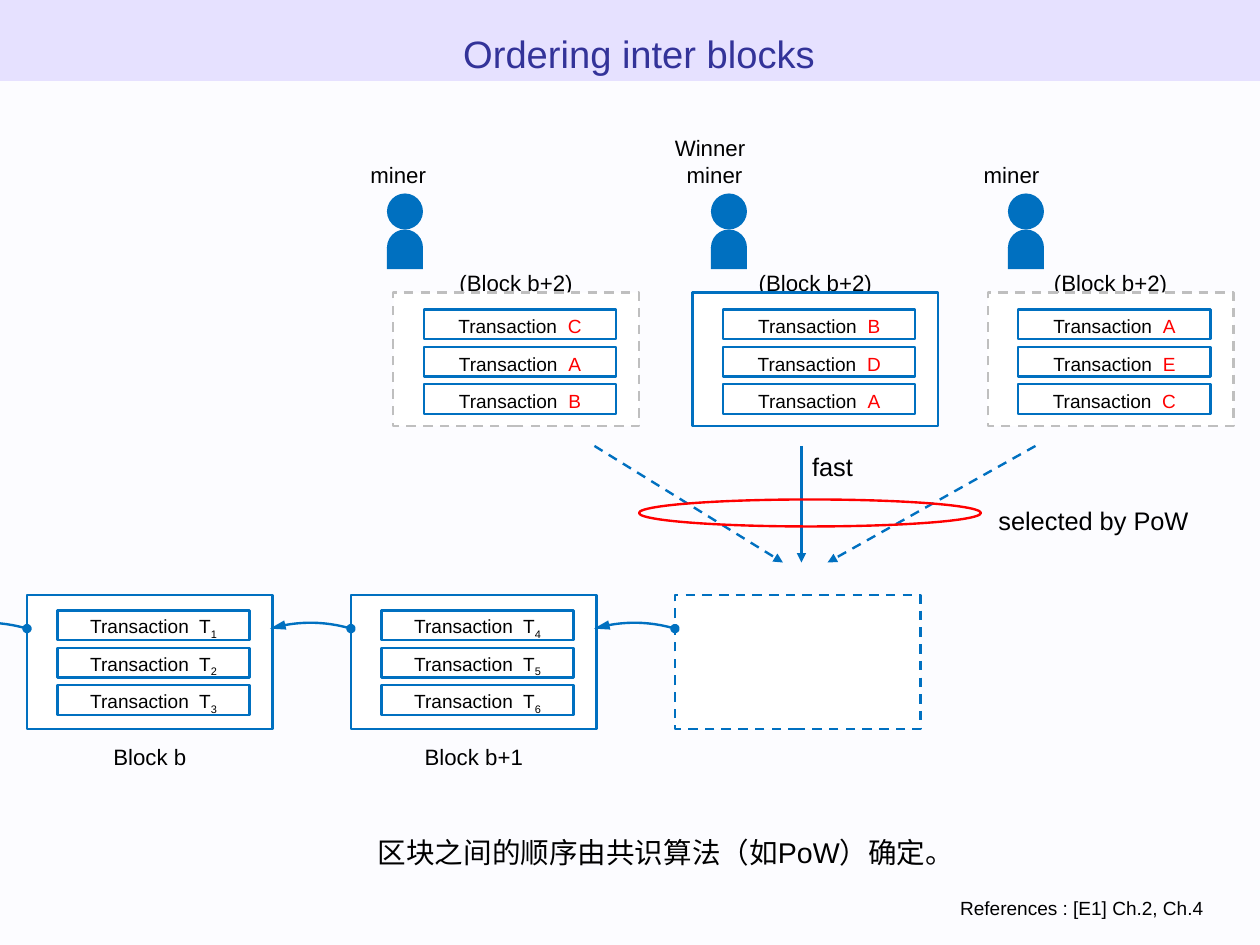
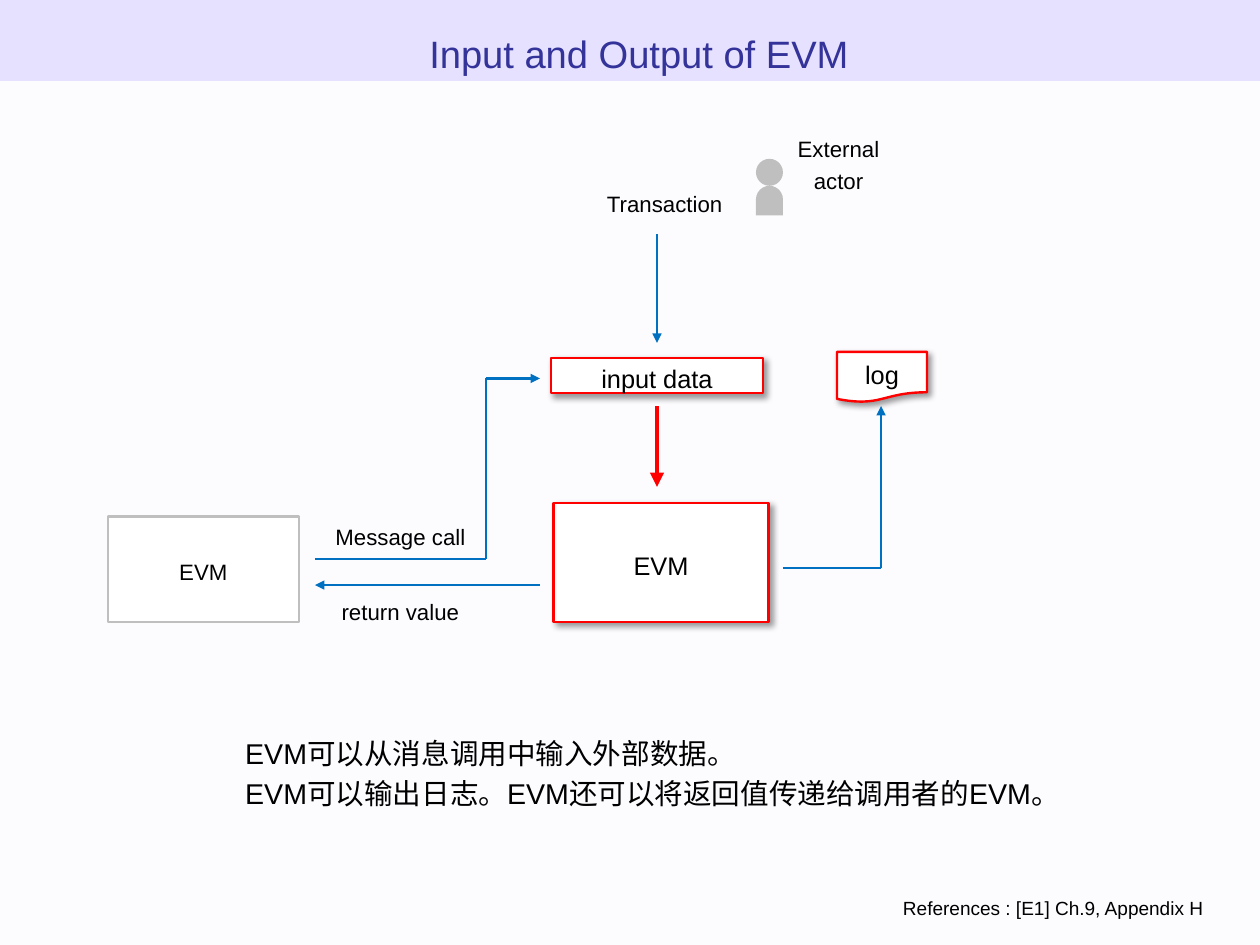
"""Build two slides on block ordering and on the input and output of the EVM."""
from dataclasses import dataclass
from itertools import pairwise
from typing import Optional

import lxml.etree
import pptx
import pptx.dml.color
import pptx.enum.dml
import pptx.enum.shapes
import pptx.enum.text
import pptx.oxml.ns
import pptx.slide
import pptx.util

Cm = pptx.util.Cm
Pt = pptx.util.Pt
qn = pptx.oxml.ns.qn
SHAPE = pptx.enum.shapes.MSO_SHAPE
ALIGN = pptx.enum.text.PP_ALIGN
ANCHOR = pptx.enum.text.MSO_ANCHOR

BLUE, RED, GREY = "0070C0", "FF0000", "BFBFBF"
BLACK, WHITE, NAVY = "000000", "FFFFFF", "333399"
PAPER, LAVENDER = "FCFCFF", "E6E1FF"
FONT = "Arial"
WIDTH, HEIGHT = 28, 21
BLOCK_WIDTH, BLOCK_HEIGHT = 5.46, 2.97
CHAIN_TOP, CHAIN_LEFT, CHAIN_STEP = 13.23, 0.6, 7.2
CANDIDATE_TOP = 6.5


@dataclass(frozen=True)
class Box:
    left: float
    top: float
    width: float
    height: float

    def lengths(self) -> tuple:
        return Cm(self.left), Cm(self.top), Cm(self.width), Cm(self.height)


@dataclass(frozen=True)
class Words:
    text: str
    colour: str = BLACK
    subscript: bool = False


@dataclass(frozen=True)
class Stroke:
    colour: str = BLUE
    width: float = 1.5
    dashed: bool = False


@dataclass(frozen=True)
class Block:
    left: float
    top: float
    label: str
    label_rise: float
    first_row: float
    rows: tuple
    stroke: Stroke = Stroke()


@dataclass(frozen=True)
class Label:
    text: str
    box: Box
    size: int = 14


@dataclass(frozen=True)
class Route:
    points: tuple
    stroke: Stroke = Stroke()


def colour_of(code: str) -> pptx.dml.color.RGBColor:
    return pptx.dml.color.RGBColor.from_string(code)


def write(shape, paragraphs: list, size: int = 14, align=ALIGN.CENTER,
          anchor=ANCHOR.MIDDLE, spacing: float = 1.17) -> None:
    frame = shape.text_frame
    frame.word_wrap = True
    frame.auto_size = pptx.enum.text.MSO_AUTO_SIZE.NONE
    frame.vertical_anchor = anchor
    frame.margin_left = frame.margin_right = Cm(0.25)
    frame.margin_top = frame.margin_bottom = Cm(0.13)
    for index, pieces in enumerate(paragraphs):
        paragraph = frame.add_paragraph() if index else frame.paragraphs[0]
        paragraph.alignment = align
        paragraph.line_spacing = spacing
        for words in pieces:
            run = paragraph.add_run()
            run.text = words.text
            run.font.name = FONT
            run.font.size = Pt(size)
            run.font.color.rgb = colour_of(words.colour)
            if words.subscript:
                list(shape.element.iter(qn("a:rPr")))[-1].set("baseline", "-25000")


def add_text(slide: pptx.slide.Slide, box: Box, lines: list, **style) -> None:
    shape = slide.shapes.add_textbox(*box.lengths())
    write(shape, [[Words(line)] for line in lines], **style)


def add_labels(slide: pptx.slide.Slide, labels: list) -> None:
    for label in labels:
        add_text(slide, label.box, [label.text], size=label.size)


def apply_stroke(shape, stroke: Stroke) -> None:
    shape.line.color.rgb = colour_of(stroke.colour)
    shape.line.width = Pt(stroke.width)
    if stroke.dashed:
        shape.line.dash_style = pptx.enum.dml.MSO_LINE.DASH


def add_figure(shapes, kind, box: Box, fill: Optional[str] = WHITE,
               stroke: Optional[Stroke] = None):
    shape = shapes.add_shape(kind, *box.lengths())
    shape.shadow.inherit = False
    if fill:
        shape.fill.solid()
        shape.fill.fore_color.rgb = colour_of(fill)
    else:
        shape.fill.background()
    if stroke:
        apply_stroke(shape, stroke)
    else:
        shape.line.fill.background()
    return shape


def add_shadow(shape) -> None:
    effects = shape.element.find(".//" + qn("a:effectLst"))
    shadow = lxml.etree.SubElement(
        effects, qn("a:outerShdw"), blurRad=str(Pt(4)), dist=str(Pt(3)),
        dir="2700000", algn="tl", rotWithShape="0")
    black = lxml.etree.SubElement(shadow, qn("a:srgbClr"), val=BLACK)
    lxml.etree.SubElement(black, qn("a:alpha"), val="40000")


def add_line_end(shape, end: str, kind: str, length: str = "med") -> None:
    line = shape.element.find(".//" + qn("a:ln"))
    lxml.etree.SubElement(line, qn("a:" + end), type=kind, w="med", len=length)


def add_route(slide: pptx.slide.Slide, route: Route) -> None:
    for start, finish in pairwise(route.points):
        connector = slide.shapes.add_connector(
            pptx.enum.shapes.MSO_CONNECTOR.STRAIGHT,
            Cm(start[0]), Cm(start[1]), Cm(finish[0]), Cm(finish[1]))
        apply_stroke(connector, route.stroke)
        if finish == route.points[-1]:
            add_line_end(connector, "tailEnd", "triangle")
        lxml.etree.SubElement(connector.element.spPr, qn("a:effectLst"))


def add_chain_link(slide: pptx.slide.Slide, block_left: float) -> None:
    span, rise, steps, level = 1.8, 0.13, 24, CHAIN_TOP + 0.74
    points = [(Cm(block_left - span + span * step / steps),
               Cm(level - 4 * rise * step * (steps - step) / steps ** 2))
              for step in range(steps + 1)]
    builder = slide.shapes.build_freeform(*points[0])
    builder.add_line_segments(points[1:], close=False)
    link = builder.convert_to_shape()
    link.shadow.inherit = False
    link.fill.background()
    apply_stroke(link, Stroke())
    add_line_end(link, "headEnd", "triangle", "lg")
    add_line_end(link, "tailEnd", "oval")


def add_person(slide: pptx.slide.Slide, left: float, top: float,
               size: float, colour: str) -> None:
    group = slide.shapes.add_group_shape()
    for kind, drop, height in ((SHAPE.OVAL, 0, 1), (SHAPE.OVAL, 1, 1),
                               (SHAPE.RECTANGLE, 1.5, 0.6)):
        box = Box(left, top + drop * size, size, height * size)
        add_figure(group.shapes, kind, box, colour)


def add_block(slide: pptx.slide.Slide, block: Block) -> None:
    label_box = Box(block.left + 0.75, block.top + block.label_rise, 3.96, 0.66)
    add_text(slide, label_box, [block.label])
    add_figure(slide.shapes, SHAPE.RECTANGLE,
               Box(block.left, block.top, BLOCK_WIDTH, BLOCK_HEIGHT),
               stroke=block.stroke)
    for index, pieces in enumerate(block.rows):
        row_top = block.top + block.first_row + 0.83 * index
        row = add_figure(slide.shapes, SHAPE.RECTANGLE,
                         Box(block.left + 0.68, row_top, 4.27, 0.66), stroke=Stroke())
        write(row, [pieces], size=12)


def chain_block(position: int, label: str) -> Block:
    rows = tuple((Words("Transaction  T"), Words(str(3 * position + number), subscript=True))
                 for number in (1, 2, 3))
    return Block(CHAIN_LEFT + CHAIN_STEP * position, CHAIN_TOP, label, 3.2, 0.34, rows)


def candidate_block(left: float, letters: str, stroke: Stroke) -> Block:
    rows = tuple((Words("Transaction  "), Words(letter, RED)) for letter in letters)
    return Block(left, CANDIDATE_TOP, "(Block b+2)", -0.61, 0.38, rows, stroke)


def add_slide(presentation, title: str, references: str) -> pptx.slide.Slide:
    slide = presentation.slides.add_slide(presentation.slide_layouts[5])
    heading = slide.shapes.title
    heading.left, heading.top, heading.width, heading.height = Box(1, 0.38, 26.4, 2.4).lengths()
    write(heading, [[Words(title, NAVY)]], size=24, anchor=ANCHOR.TOP)
    add_text(slide, Box(1.2, 19.7, 25.8, 0.95), [f"References : {references}"],
             size=12, align=ALIGN.RIGHT, anchor=ANCHOR.TOP)
    return slide


def share_band(slide: pptx.slide.Slide) -> None:
    band = add_figure(slide.shapes, SHAPE.RECTANGLE, Box(0, 0, WIDTH, 1.8), LAVENDER)
    slide.slide_layout.shapes.element.insert(2, band.element)


def draw_ordering(slide: pptx.slide.Slide) -> None:
    dashed = Stroke(dashed=True)
    next_left = CHAIN_LEFT + 2 * CHAIN_STEP
    add_figure(slide.shapes, SHAPE.RECTANGLE,
               Box(next_left, CHAIN_TOP, BLOCK_WIDTH, BLOCK_HEIGHT), stroke=dashed)
    for position, label in enumerate(("Block b", "Block b+1")):
        add_block(slide, chain_block(position, label))
    for position in range(3):
        add_chain_link(slide, CHAIN_LEFT + CHAIN_STEP * position)
    loser = Stroke(GREY, dashed=True)
    for left, letters, stroke in ((8.74, "CAB", loser), (15.39, "BDA", Stroke()),
                                  (21.95, "AEC", loser)):
        add_block(slide, candidate_block(left, letters, stroke))
    for person_left, label_left in ((8.6, 6.87), (15.8, 13.9), (22.4, 20.5)):
        add_text(slide, Box(label_left, 3.5, 3.96, 0.66), ["miner"])
        add_person(slide, person_left, 4.3, 0.8, BLUE)
    for start, finish, stroke in ((13.21, 17.4, dashed), (17.81, 17.81, Stroke()),
                                  (23.01, 18.39, dashed)):
        add_route(slide, Route(((start, 9.91), (finish, 12.5)), stroke))
    add_labels(slide, [
        Label("selected by PoW", Box(21.4, 11.1, 5.8, 0.8), 16),
        Label("Winner", Box(13.8, 2.9, 3.96, 0.66)),
        Label("fast", Box(17.4, 9.91, 2.2, 0.8), 16),
    ])
    add_figure(slide.shapes, SHAPE.OVAL, Box(14.2, 11.1, 7.6, 0.6), None, Stroke(RED))
    add_text(slide, Box(2.8, 18.5, 24, 1.2), ["区块之间的顺序由共识算法（如PoW）确定。"],
             size=18, anchor=ANCHOR.TOP, spacing=0.93)


def draw_evm(slide: pptx.slide.Slide) -> None:
    for kind, label in (
            (SHAPE.RECTANGLE, Label("EVM", Box(12.3, 11.18, 4.78, 2.64), 16)),
            (SHAPE.RECTANGLE, Label("input data", Box(12.24, 7.95, 4.72, 0.79), 16)),
            (SHAPE.FLOWCHART_DOCUMENT, Label("log", Box(18.6, 7.82, 2, 1.12), 16))):
        shape = add_figure(slide.shapes, kind, label.box, stroke=Stroke(RED))
        add_shadow(shape)
        write(shape, [[Words(label.text)]], size=label.size)
    caller = add_figure(slide.shapes, SHAPE.RECTANGLE, Box(2.4, 11.48, 4.24, 2.34),
                        stroke=Stroke(GREY))
    write(caller, [[Words("EVM")]])
    add_person(slide, 16.8, 3.53, 0.6, GREY)
    add_labels(slide, [
        Label("Transaction", Box(12.6, 3.94, 4.34, 1.07)),
        Label("External actor", Box(17.3, 2.9, 2.67, 1.42)),
        Label("Message call", Box(6.8, 11.35, 4.2, 1.07)),
        Label("return value", Box(6.8, 13, 4.2, 1.07)),
    ])
    for route in (
            Route(((14.6, 9.02), (14.6, 10.82)), Stroke(RED, 3)),
            Route(((14.6, 5.2), (14.6, 7.62))),
            Route(((7, 12.42), (10.8, 12.42), (10.8, 8.41), (12, 8.41))),
            Route(((12, 13), (7, 13))),
            Route(((17.4, 12.62), (19.58, 12.62), (19.58, 9.02)))):
        add_route(slide, route)
    add_text(slide, Box(5.2, 16.1, 19.6, 1.2),
             ["EVM可以从消息调用中输入外部数据。",
              "EVM可以输出日志。EVM还可以将返回值传递给调用者的EVM。"],
             size=18, align=ALIGN.LEFT, anchor=ANCHOR.TOP)


def main() -> None:
    presentation = pptx.Presentation()
    presentation.slide_width, presentation.slide_height = Cm(WIDTH), Cm(HEIGHT)
    background = presentation.slide_master.background.fill
    background.solid()
    background.fore_color.rgb = colour_of(PAPER)
    ordering = add_slide(presentation, "Ordering inter blocks", "[E1] Ch.2, Ch.4")
    share_band(ordering)
    draw_ordering(ordering)
    draw_evm(add_slide(presentation, "Input and Output of EVM", "[E1] Ch.9, Appendix H"))
    presentation.save("out.pptx")


main()
